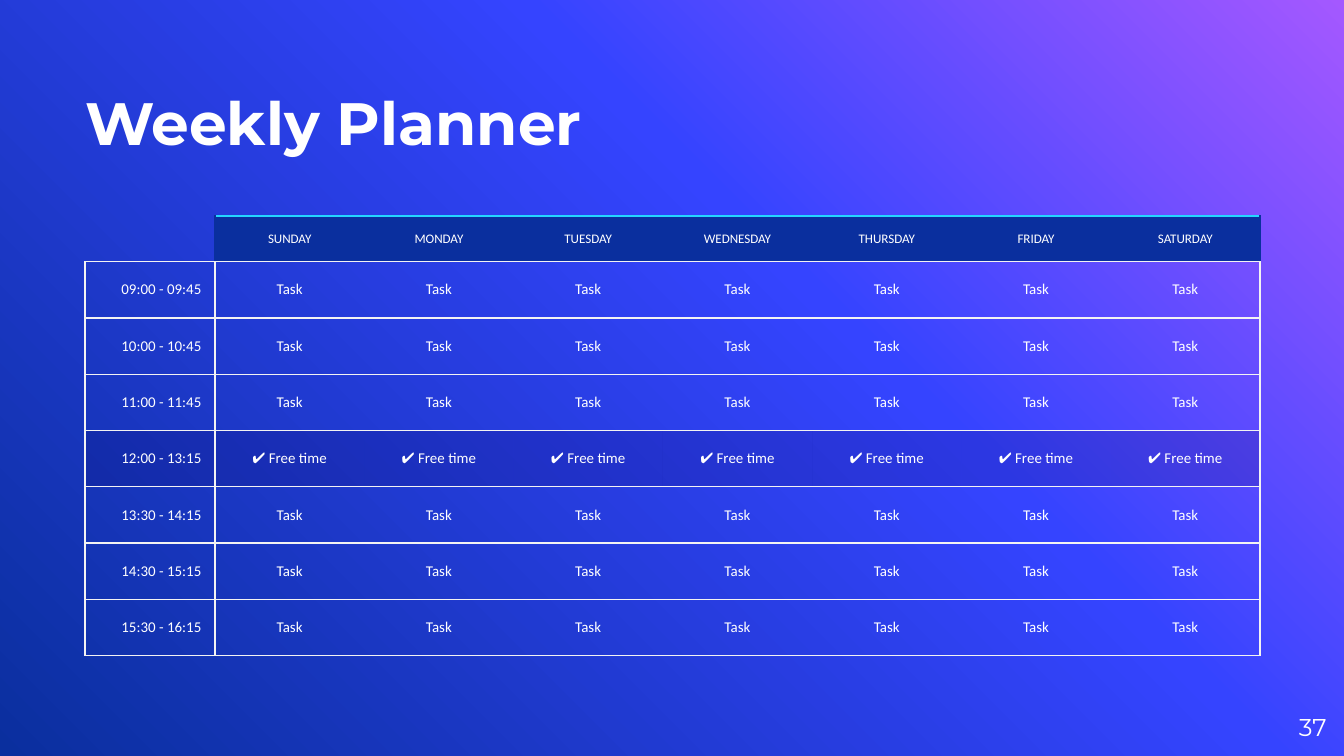
from copy import deepcopy

from lxml.etree import SubElement
from pptx import Presentation
from pptx.dml.color import RGBColor
from pptx.enum.text import MSO_ANCHOR, PP_ALIGN
from pptx.oxml.ns import qn
from pptx.util import Inches, Pt

SLIDE_WIDTH = Inches(10)
SLIDE_HEIGHT = Inches(5.625)
WHITE, GRID, NAVY, CYAN, SHADE = "FFFFFF", "F3F3F3", "0A2F9E", "24D6FF", "050060"
BACKDROP = [(0, "A458FF"), (0.39, "3544FF"), (1, NAVY)]
PLAIN_STYLE = "{2D5ABB26-0587-4C30-8999-92F81FD0307C}"
DAYS = ["SUNDAY", "MONDAY", "TUESDAY", "WEDNESDAY", "THURSDAY", "FRIDAY", "SATURDAY"]
TIMES = ["09:00 - 09:45", "10:00 - 10:45", "11:00 - 11:45", "12:00 - 13:15",
         "13:30 - 14:15", "14:30 - 15:15", "15:30 - 16:15"]
BREAK_TIME = "12:00 - 13:15"
TIME_WIDTH, DAY_WIDTH = 9.67, 11.11
HEADER_HEIGHT, SLOT_HEIGHT = 6.04, 7.45


def color(hex_code):
    return RGBColor.from_string(hex_code)


def across(percent):
    return round(SLIDE_WIDTH * percent / 100)


def down(percent):
    return round(SLIDE_HEIGHT * percent / 100)


def place(left, top, width, height):
    return across(left), down(top), across(width), down(height)


def paint_backdrop(slide):
    fill = slide.background.fill
    fill.gradient()
    fill.gradient_angle = 225
    first = fill.gradient_stops[0]._gs
    first.addnext(deepcopy(first))
    for stop, (position, hex_code) in zip(fill.gradient_stops, BACKDROP):
        stop.position = position
        stop.color.rgb = color(hex_code)


def write(paragraph, text, size, align, font="Calibri", bold=False):
    paragraph.text = text
    paragraph.alignment = align
    paragraph.font.name = font
    paragraph.font.size = Pt(size)
    paragraph.font.bold = bold
    paragraph.font.color.rgb = color(WHITE)


def add_label(slide, frame, text, size, align, anchor, bold=False):
    label = slide.shapes.add_textbox(*frame).text_frame
    label.word_wrap = True
    label.vertical_anchor = anchor
    label.margin_left = label.margin_right = label.margin_top = label.margin_bottom = 0
    write(label.paragraphs[0], text, size, align, "Montserrat", bold)


def draw_borders(cell, borders):
    properties = cell._tc.get_or_add_tcPr()
    for side in "LRTB":
        line = SubElement(properties, qn(f"a:ln{side}"), w=str(Pt(0.75)))
        if side in borders:
            solid = SubElement(line, qn("a:solidFill"))
            SubElement(solid, qn("a:srgbClr"), val=borders[side])
        else:
            SubElement(line, qn("a:noFill"))


def fill_cell(cell, hex_code=None, opacity=100):
    if hex_code is None:
        cell.fill.background()
        return
    cell.fill.solid()
    cell.fill.fore_color.rgb = color(hex_code)
    if opacity < 100:
        tint = cell._tc.tcPr.find(qn("a:solidFill")).find(qn("a:srgbClr"))
        SubElement(tint, qn("a:alpha"), val=str(opacity * 1000))


def style_cell(cell, text, size, align, borders, fill=None, opacity=100):
    cell.vertical_anchor = MSO_ANCHOR.MIDDLE
    cell.margin_left = cell.margin_right = Inches(0.1)
    cell.margin_top = cell.margin_bottom = Inches(0.1)
    write(cell.text_frame.paragraphs[0], text, size, align)
    draw_borders(cell, borders)
    fill_cell(cell, fill, opacity)


def fill_header(planner):
    corner = planner.cell(0, 0)
    style_cell(corner, "", 7, PP_ALIGN.CENTER, {"R": NAVY, "B": GRID})
    end = SubElement(corner.text_frame.paragraphs[0]._p, qn("a:endParaRPr"))
    end.set("sz", "700")
    for column, day in enumerate(DAYS, 1):
        borders = {"T": CYAN, "B": GRID}
        if column == 1:
            borders["L"] = NAVY
        if column == len(DAYS):
            borders["R"] = NAVY
        style_cell(planner.cell(0, column), day, 7, PP_ALIGN.CENTER, borders, NAVY)


def fill_slot(planner, row, time):
    is_break = time == BREAK_TIME
    activity = "✔ Free time" if is_break else "Task"
    fill = SHADE if is_break else None
    for column in range(len(DAYS) + 1):
        borders = {"T": GRID, "B": GRID}
        if column <= 1:
            borders["L"] = GRID
        if column in (0, len(DAYS)):
            borders["R"] = GRID
        text, align = (activity, PP_ALIGN.CENTER) if column else (time, PP_ALIGN.RIGHT)
        style_cell(planner.cell(row, column), text, 8, align, borders, fill, 18)


def add_planner(slide):
    frame = place(6.33, 28.57, TIME_WIDTH + DAY_WIDTH * len(DAYS),
                  HEADER_HEIGHT + SLOT_HEIGHT * len(TIMES))
    graphic = slide.shapes.add_table(len(TIMES) + 1, len(DAYS) + 1, *frame)
    planner = graphic.table
    planner.first_row = planner.horz_banding = False
    planner._tbl.tblPr.find(qn("a:tableStyleId")).text = PLAIN_STYLE
    for index, column in enumerate(planner.columns):
        column.width = across(DAY_WIDTH if index else TIME_WIDTH)
    for index, row in enumerate(planner.rows):
        row.height = down(SLOT_HEIGHT if index else HEADER_HEIGHT)
    fill_header(planner)
    for row, time in enumerate(TIMES, 1):
        fill_slot(planner, row, time)


def main():
    deck = Presentation()
    deck.slide_width, deck.slide_height = SLIDE_WIDTH, SLIDE_HEIGHT
    slide = deck.slides.add_slide(deck.slide_layouts[6])
    paint_backdrop(slide)
    add_label(slide, place(6.33, 4.1, 65.8, 16.7), "Weekly Planner", 32,
              PP_ALIGN.LEFT, MSO_ANCHOR.BOTTOM, bold=True)
    add_label(slide, place(92.7, 92.35, 6, 7.65), "37", 13,
              PP_ALIGN.RIGHT, MSO_ANCHOR.MIDDLE)
    add_planner(slide)
    deck.save("out.pptx")


if __name__ == "__main__":
    main()
